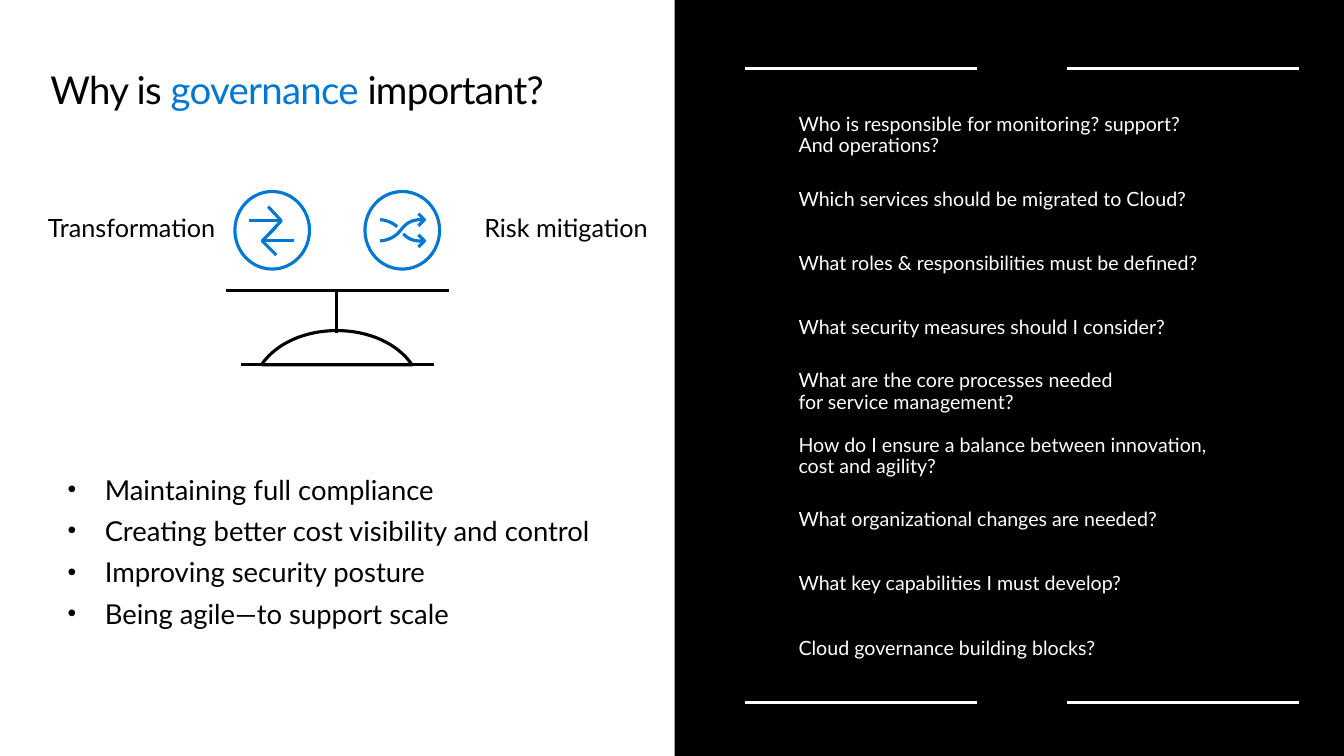
from lxml import etree
from pptx import Presentation
from pptx.dml.color import RGBColor
from pptx.enum.shapes import MSO_CONNECTOR, MSO_SHAPE
from pptx.enum.text import MSO_ANCHOR, PP_ALIGN
from pptx.oxml.ns import qn
from pptx.util import Inches, Pt

COLORS = {"black": "000000", "white": "FFFFFF", "blue": "0078D3"}
FONT = "Lato"
QUESTIONS = [
    "Who is responsible for monitoring? support? \nAnd operations?",
    "Which services should be migrated to Cloud?",
    "What roles & responsibilities must be defined?",
    "What security measures should I consider?",
    "What are the core processes needed \nfor service management?",
    "How do I ensure a balance between innovation, \ncost and agility?",
    "What organizational changes are needed?",
    "What key capabilities I must develop?",
    "Cloud governance building blocks?",
]
BENEFITS = [
    "Maintaining full compliance",
    "Creating better cost visibility and control",
    "Improving security posture",
    "Being agile—to support scale",
]


def curve(start, first, second, end, steps=16):
    points = []
    for step in range(steps + 1):
        t = step / steps
        weights = ((1 - t) ** 3, 3 * t * (1 - t) ** 2, 3 * t * t * (1 - t), t ** 3)
        controls = (start, first, second, end)
        points.append(tuple(sum(w * c[axis] for w, c in zip(weights, controls))
                            for axis in (0, 1)))
    return points


class SlideBuilder:
    """Draws styled elements on one slide."""

    def __init__(self, slide):
        self.slide = slide

    def color(self, name):
        return RGBColor.from_string(COLORS[name])

    def style_font(self, font, size, color):
        font.name = FONT
        font.size = Pt(size)
        font.color.rgb = self.color(color)

    def outline(self, shape, color, width):
        shape.line.color.rgb = self.color(color)
        shape.line.width = Pt(width)

    def panel(self, left, top, width, height, color):
        shape = self.slide.shapes.add_shape(
            MSO_SHAPE.RECTANGLE, Inches(left), Inches(top), Inches(width), Inches(height))
        shape.shadow.inherit = False
        shape.fill.solid()
        shape.fill.fore_color.rgb = self.color(color)
        shape.line.fill.background()

    def ring(self, left, top, width, height, color):
        shape = self.slide.shapes.add_shape(
            MSO_SHAPE.OVAL, Inches(left), Inches(top), Inches(width), Inches(height))
        shape.shadow.inherit = False
        shape.fill.background()
        self.outline(shape, color, 2.25)

    def line(self, start, end, color, width):
        connector = self.slide.shapes.add_connector(
            MSO_CONNECTOR.STRAIGHT, *(Inches(value) for value in (*start, *end)))
        self.outline(connector, color, width)
        etree.SubElement(connector._element.spPr, qn("a:effectLst"))

    def drawing(self, strokes, color, close=False):
        strokes = [[(Inches(x), Inches(y)) for x, y in stroke] for stroke in strokes]
        builder = self.slide.shapes.build_freeform(*strokes[0][0])
        for index, stroke in enumerate(strokes):
            if index:
                builder.move_to(*stroke[0])
            builder.add_line_segments(stroke[1:], close=close)
        shape = builder.convert_to_shape()
        shape.shadow.inherit = False
        shape.fill.background()
        self.outline(shape, color, 2.25)

    def frame(self, left, top, width, height, inset=(0, 0), anchor=MSO_ANCHOR.TOP):
        box = self.slide.shapes.add_textbox(
            Inches(left), Inches(top), Inches(width), Inches(height))
        frame = box.text_frame
        frame.word_wrap = True
        frame.vertical_anchor = anchor
        frame.margin_left = frame.margin_right = Inches(inset[0])
        frame.margin_top = frame.margin_bottom = Inches(inset[1])
        return frame

    def title(self, left, top, width, height, parts):
        paragraph = self.frame(left, top, width, height).paragraphs[0]
        paragraph.line_spacing = Pt(31.4)
        for text, color in parts:
            run = paragraph.add_run()
            run.text = text
            self.style_font(run.font, 27.4, color)
            run._r.get_or_add_rPr().set("spc", "-50")

    def label(self, left, top, width, height, text):
        paragraph = self.frame(left, top, width, height).paragraphs[0]
        paragraph.text = text
        paragraph.alignment = PP_ALIGN.CENTER
        self.style_font(paragraph.font, 18, "black")

    def question(self, left, top, width, height, text):
        paragraph = self.frame(left, top, width, height,
                               anchor=MSO_ANCHOR.MIDDLE).paragraphs[0]
        paragraph.text = text
        paragraph.line_spacing = 0.9
        paragraph.space_after = Pt(5.9)
        self.style_font(paragraph.font, 14, "white")

    def bullets(self, left, top, width, height, items):
        frame = self.frame(left, top, width, height, inset=(0.2, 0.16))
        for index, item in enumerate(items):
            paragraph = frame.add_paragraph() if index else frame.paragraphs[0]
            paragraph.text = item
            paragraph.line_spacing = Pt(23.5)
            paragraph.space_after = Pt(6)
            properties = paragraph._p.get_or_add_pPr()
            properties.set("marL", str(Inches(0.37)))
            properties.set("indent", str(-Inches(0.37)))
            etree.SubElement(properties, qn("a:buSzPct"), val="90000")
            etree.SubElement(properties, qn("a:buFont"), typeface="Arial")
            etree.SubElement(properties, qn("a:buChar"), char="•")
            self.style_font(paragraph.font, 19.6, "black")


def main():
    presentation = Presentation()
    presentation.slide_width = Inches(13.33)
    presentation.slide_height = Inches(7.5)
    builder = SlideBuilder(presentation.slides.add_slide(presentation.slide_layouts[6]))

    builder.panel(6.69, 0, 6.64, 7.5, "black")
    builder.title(0.5, 0.68, 12.36, 0.44, [
        ("Why is ", "black"), ("governance", "blue"), (" important?", "black")])
    builder.bullets(0.47, 4.53, 6.44, 1.92, BENEFITS)

    pitch = (6.16 - 1.07) / (len(QUESTIONS) - 1)
    for index, question in enumerate(QUESTIONS):
        builder.question(7.92, 1.07 + index * pitch, 5.6, 0.55, question)

    for left in (2.33, 3.62):
        builder.ring(left, 1.9, 0.74, 0.77, "blue")
    exchange_arrows = [
        [(2.66, 2.05), (2.79, 2.19), (2.66, 2.33)],
        [(2.79, 2.19), (2.47, 2.19)],
        [(2.74, 2.25), (2.6, 2.39), (2.74, 2.53)],
        [(2.6, 2.39), (2.92, 2.39)],
    ]
    builder.drawing(exchange_arrows, "blue")
    shuffle_arrows = [
        curve((4.21, 2.39), (4.09, 2.4), (4.04, 2.36), (4, 2.32)),
        curve((3.94, 2.25), (3.86, 2.18), (3.77, 2.18), (3.77, 2.18)),
        curve((4.21, 2.18), (4.06, 2.17), (4.01, 2.24), (3.97, 2.29))
        + curve((3.97, 2.29), (3.89, 2.39), (3.77, 2.39), (3.77, 2.39))[1:],
    ] + [[(4.15, y - 0.06), (4.21, y), (4.15, y + 0.06)] for y in (2.18, 2.39)]
    builder.drawing(shuffle_arrows, "blue")

    scale_lines = [((2.24, 2.88), (4.45, 2.88)), ((2.39, 3.62), (4.3, 3.62)),
                   ((3.34, 2.88), (3.34, 3.3))]
    for start, end in scale_lines:
        builder.line(start, end, "black", 2.25)
    scale_base = (curve((2.6, 3.61), (2.74, 3.41), (3.02, 3.28), (3.34, 3.28))
                  + curve((3.34, 3.28), (3.66, 3.28), (3.94, 3.41), (4.08, 3.61))[1:]
                  + [(4.09, 3.62), (2.6, 3.62)])
    builder.drawing([scale_base], "black", close=True)
    builder.label(0.46, 2.11, 1.69, 0.3, "Transformation")
    builder.label(4.36, 2.11, 2.51, 0.3, "Risk mitigation")

    for y in (0.68, 6.97):
        for right in (9.69, 12.88):
            builder.line((right, y), (right - 2.3, y), "white", 2)

    presentation.save("out.pptx")


if __name__ == "__main__":
    main()
